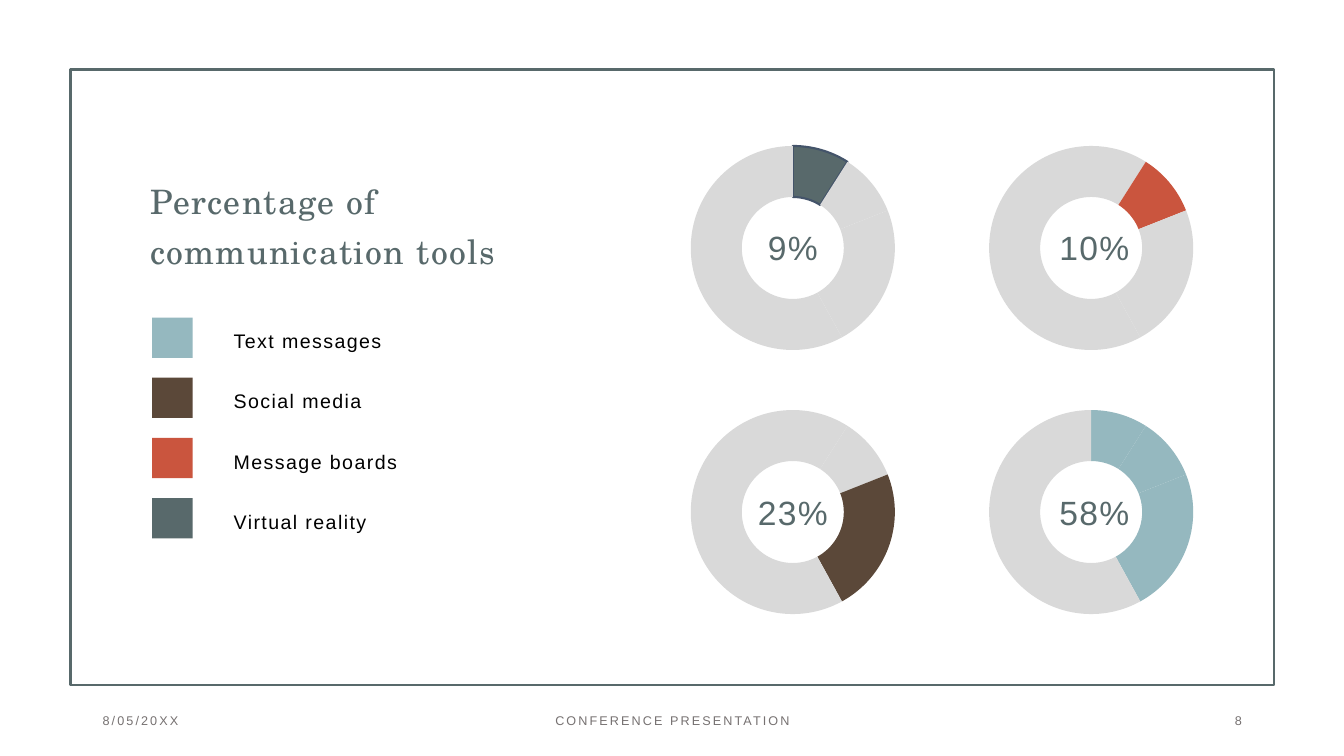
from dataclasses import dataclass
from lxml import etree
from pptx import Presentation
from pptx.chart.data import CategoryChartData
from pptx.dml.color import RGBColor
from pptx.enum.chart import XL_CHART_TYPE
from pptx.enum.shapes import MSO_SHAPE
from pptx.enum.text import MSO_ANCHOR, MSO_AUTO_SIZE, PP_ALIGN
from pptx.oxml import parse_xml
from pptx.oxml.ns import nsdecls, qn
from pptx.util import Inches, Pt

RECT = MSO_SHAPE.RECTANGLE
RING = XL_CHART_TYPE.DOUGHNUT
TOP, MID = MSO_ANCHOR.TOP, MSO_ANCHOR.MIDDLE
LEFT, MIDST, RIGHT = PP_ALIGN.LEFT, PP_ALIGN.CENTER, PP_ALIGN.RIGHT
FIXED = MSO_AUTO_SIZE.NONE
WIDE, HIGH = Inches(13.33), Inches(7.5)


@dataclass(frozen=True)
class Theme:
    slate: str = "58696B"
    blue: str = "95B8BF"
    brown: str = "5B4839"
    red: str = "CA553E"
    gray: str = "D9D9D9"
    navy: str = "44546A"
    black: str = "000000"
    foot: str = "767171"
    serif: str = "TeX Gyre Schola"
    sans: str = "Arial"
    big: int = 24
    body: int = 14
    small: int = 9
    tick: int = 10


@dataclass(frozen=True)
class Box:
    """Place and size in percent of the slide."""
    x: float
    y: float
    w: float
    h: float

    def move(self, dx: float = 0, dy: float = 0) -> "Box":
        return Box(self.x + dx, self.y + dy, self.w, self.h)

    def emu(self) -> tuple[int, int, int, int]:
        return (int(WIDE * self.x / 100), int(HIGH * self.y / 100),
                int(WIDE * self.w / 100), int(HIGH * self.h / 100))


@dataclass(frozen=True)
class Style:
    size: int
    color: str
    font: str = Theme.sans
    gap: float = 1
    lead: float = 1
    align: PP_ALIGN = LEFT
    anchor: MSO_ANCHOR = MID


@dataclass(frozen=True)
class Tool:
    name: str
    color: str


@dataclass(frozen=True)
class Ring:
    col: int
    row: int
    share: str
    color: str
    lit: tuple[int, ...]


@dataclass(frozen=True)
class Note:
    text: str
    box: Box
    align: PP_ALIGN


T = Theme()
HEAD = Style(T.big, T.slate, T.serif, lead=1.25)
ITEM = Style(T.body, T.black, lead=1.5, anchor=TOP)
SHARE = Style(T.big, T.slate, lead=1.25, align=MIDST)

FRAME = Box(5.25, 9.2, 89.55, 81.47)
TITLE = Box(10.43, 20, 33.45, 18.53)
SWATCH = Box(11.33, 42, 3, 5.33)
LABEL = Box(16.65, 41.33, 14.63, 6.27)
CHART = Box(46.05, 17.47, 25.88, 30.67)
CORE = Box(51.68, 19.07, 14.63, 26)
STEP, DOWN = 7.96, 34.93
CHART_DX, CORE_DX = 22.2, 22.43

VALUES = (9, 10, 23, 58)
TOOLS = (
    Tool("Text messages", T.blue),
    Tool("Social media", T.brown),
    Tool("Message boards", T.red),
    Tool("Virtual reality", T.slate),
)
RINGS = (
    Ring(0, 0, "9%", T.slate, (0,)),
    Ring(1, 0, "10%", T.red, (1,)),
    Ring(0, 1, "23%", T.brown, (2,)),
    Ring(1, 1, "58%", T.blue, (0, 1, 2)),
)
NOTES = (
    Note("8/05/20XX", Box(6.9, 92.67, 22.5, 5.33), LEFT),
    Note("CONFERENCE PRESENTATION", Box(33.15, 92.67, 33.75, 5.33), MIDST),
    Note("8", Box(70.65, 92.67, 22.5, 5.33), RIGHT),
)


def rgb(color: str) -> RGBColor:
    return RGBColor.from_string(color)


def write(shape, text: str, style: Style) -> None:
    frame = shape.text_frame
    frame.word_wrap = True
    frame.auto_size = FIXED
    frame.vertical_anchor = style.anchor
    para = frame.paragraphs[0]
    para.alignment = style.align
    para.line_spacing = style.lead
    run = para.add_run()
    run.text = text
    font = run.font
    font.name, font.size = style.font, Pt(style.size)
    font.color.rgb = rgb(style.color)
    run._r.get_or_add_rPr().set("spc", str(int(style.gap * 100)))


def add_text(slide, box: Box, text: str, style: Style) -> None:
    write(slide.shapes.add_textbox(*box.emu()), text, style)


def add_rect(slide, box: Box, fill: str = "", line: str = "") -> None:
    rect = slide.shapes.add_shape(RECT, *box.emu())
    rect.shadow.inherit = False
    if fill:
        rect.fill.solid()
        rect.fill.fore_color.rgb = rgb(fill)
    else:
        rect.fill.background()
    if line:
        rect.line.color.rgb = rgb(line)
        rect.line.width = Pt(1.5)
    else:
        rect.line.fill.background()


def add_ring(slide, ring: Ring) -> None:
    data = CategoryChartData()
    data.categories = ["1", "2", "3", "4"]
    data.add_series("Series 1", VALUES)
    box = CHART.move(ring.col * CHART_DX, ring.row * DOWN)
    chart = slide.shapes.add_chart(RING, *box.emu(), data).chart
    chart.has_legend = chart.has_title = False
    chart.font.name, chart.font.size = T.sans, Pt(T.tick)
    chart.font.color.rgb = rgb(T.black)
    plot = chart.plots[0]
    plot.vary_by_categories = True
    for i in range(len(VALUES)):
        look = plot.series[0].points[i].format
        look.fill.solid()
        look.fill.fore_color.rgb = rgb(ring.color if i in ring.lit else T.gray)
        if i in ring.lit and ring.color == T.slate:
            look.line.color.rgb = rgb(T.navy)
            look.line.width = Pt(1.5)
        else:
            look.line.fill.background()

    # Hole size and a clear ground, so that the share shows through
    root = chart._chartSpace
    hole = root.find(".//" + qn("c:holeSize"))
    if hole is None:
        hole = etree.SubElement(plot._element, qn("c:holeSize"))
    hole.set("val", "75")
    root.find(qn("c:chart")).addnext(parse_xml(
        f"<c:spPr {nsdecls('c', 'a')}><a:noFill/><a:ln><a:noFill/></a:ln></c:spPr>"))


def main() -> None:
    deck = Presentation()
    deck.slide_width, deck.slide_height = WIDE, HIGH
    slide = deck.slides.add_slide(deck.slide_layouts[5])

    # Frame and title
    add_rect(slide, FRAME, line=T.slate)
    title = slide.shapes.title
    title.left, title.top, title.width, title.height = TITLE.emu()
    write(title, "Percentage of communication tools", HEAD)

    # Key of tools
    for i, tool in enumerate(TOOLS):
        add_rect(slide, SWATCH.move(dy=i * STEP), fill=tool.color)
        add_text(slide, LABEL.move(dy=i * STEP), tool.name, ITEM)

    # Rings with their shares
    for ring in RINGS:
        core = CORE.move(ring.col * CORE_DX, ring.row * DOWN)
        add_text(slide, core, ring.share, SHARE)
        add_ring(slide, ring)

    # Footer
    for note in NOTES:
        style = Style(T.small, T.foot, gap=1.5, align=note.align)
        add_text(slide, note.box, note.text, style)

    deck.save("out.pptx")


if __name__ == "__main__":
    main()
